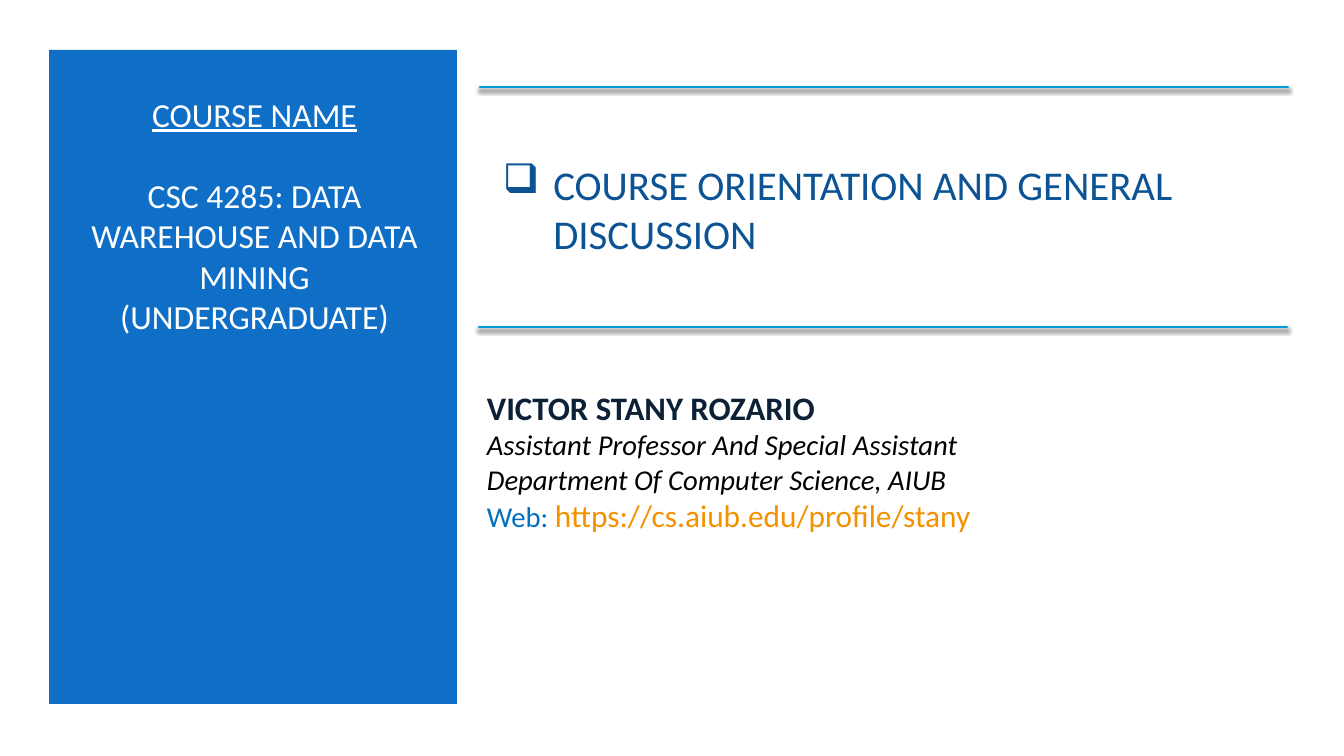
from lxml import etree
from pptx import Presentation
from pptx import util as u
from pptx.dml.color import RGBColor
from pptx.enum import shapes, text
from pptx.oxml import parse_xml
from pptx.oxml.ns import nsdecls, qn

PX = 914400 / 100.8
WIDTH, HEIGHT = 1344, 756

WHITE = RGBColor(0xFF, 0xFF, 0xFF)
BLACK = RGBColor(0x00, 0x00, 0x00)
PANEL_BLUE = RGBColor(0x0F, 0x6F, 0xC6)
TOPIC_BLUE = RGBColor(0x0B, 0x53, 0x94)
RULE_CYAN = RGBColor(0x00, 0x9D, 0xD9)
NAME_NAVY = RGBColor(0x0C, 0x20, 0x36)
LABEL_BLUE = RGBColor(0x00, 0x70, 0xC0)
LINK_ORANGE = RGBColor(0xF4, 0x91, 0x00)


def px(length):
    return u.Emu(round(length * PX))


def add_run(paragraph, content, font="Calibri", size=24, color=BLACK, **flags):
    """Append a run; flags are font switches such as bold, italic, underline."""
    run = paragraph.add_run()
    run.text = content
    run.font.name = font
    run.font.size = u.Pt(size)
    run.font.color.rgb = color
    for flag, value in flags.items():
        setattr(run.font, flag, value)


class CoverSlide:
    def __init__(self, presentation):
        self.slide = presentation.slides.add_slide(presentation.slide_layouts[6])
        self.font = "Calibri"

    def panel(self, left, top, width, height, color):
        shape = self.slide.shapes.add_shape(
            shapes.MSO_SHAPE.RECTANGLE, px(left), px(top), px(width), px(height))
        shape.shadow.inherit = False
        shape.fill.solid()
        shape.fill.fore_color.rgb = color
        shape.line.fill.background()

    def rule(self, left, top, width):
        """Draw a horizontal line with a soft shadow below it."""
        line = self.slide.shapes.add_connector(
            shapes.MSO_CONNECTOR.STRAIGHT, px(left), px(top), px(left + width), px(top))
        line.line.color.rgb = RULE_CYAN
        line.line.width = u.Pt(2)
        line.line._get_or_add_ln().set("cap", "rnd")
        line._element.spPr.append(parse_xml(
            f'<a:effectLst {nsdecls("a")}>'
            f'<a:outerShdw blurRad="{u.Pt(3)}" dist="{u.Pt(2)}" dir="5400000" rotWithShape="0">'
            '<a:srgbClr val="000000"><a:alpha val="55000"/></a:srgbClr>'
            '</a:outerShdw></a:effectLst>'))

    def textbox(self, left, top, width, height, paragraphs,
                anchor=text.MSO_ANCHOR.TOP, align=text.PP_ALIGN.LEFT, gap=0, bullet=None):
        """Write paragraphs, each a list of (text, format) runs, with gap points between."""
        shape = self.slide.shapes.add_textbox(px(left), px(top), px(width), px(height))
        frame = shape.text_frame
        frame.word_wrap = True
        frame.vertical_anchor = anchor
        for index, runs in enumerate(paragraphs):
            paragraph = frame.add_paragraph() if index else frame.paragraphs[0]
            paragraph.alignment = align
            if index and gap:
                paragraph.space_before = u.Pt(gap)
            if bullet:
                properties = paragraph._p.get_or_add_pPr()
                properties.set("marL", str(u.Inches(0.5)))
                properties.set("indent", str(-u.Inches(0.5)))
                etree.SubElement(properties, qn("a:buChar"), char=bullet)
            for content, style in runs:
                add_run(paragraph, content, font=self.font, **style)


def main():
    presentation = Presentation()
    presentation.slide_width, presentation.slide_height = px(WIDTH), px(HEIGHT)
    cover = CoverSlide(presentation)

    cover.panel(0, 0, WIDTH, HEIGHT, WHITE)
    cover.panel(49, 50, 408, 654, PANEL_BLUE)
    cover.textbox(67, 53, 375, 324, [
        [("COURSE NAME", dict(color=WHITE, underline=True))],
        [("CSC 4285: DATA WAREHOUSE AND DATA MINING (UNDERGRADUATE)", dict(color=WHITE))],
    ], anchor=text.MSO_ANCHOR.MIDDLE, align=text.PP_ALIGN.CENTER, gap=29)

    cover.textbox(493, 111, 791, 195, [
        [("COURSE ORIENTATION AND GENERAL DISCUSSION", dict(size=29.2, color=TOPIC_BLUE))],
    ], anchor=text.MSO_ANCHOR.MIDDLE, bullet="❑")
    for left, top in ((480, 87), (479, 327)):
        cover.rule(left, top, 808)

    role = dict(size=20.5, italic=True)
    cover.textbox(477, 383, 788, 157, [
        [("VICTOR STANY ROZARIO", dict(size=23.4, color=NAME_NAVY, bold=True))],
        [("Assistant Professor And Special Assistant", role)],
        [("Department Of Computer Science, AIUB", role)],
        [("Web: ", dict(size=20.5, color=LABEL_BLUE)),
         ("https://cs.aiub.edu/profile/stany", dict(size=22.4, color=LINK_ORANGE))],
    ])

    presentation.save("out.pptx")


if __name__ == "__main__":
    main()
